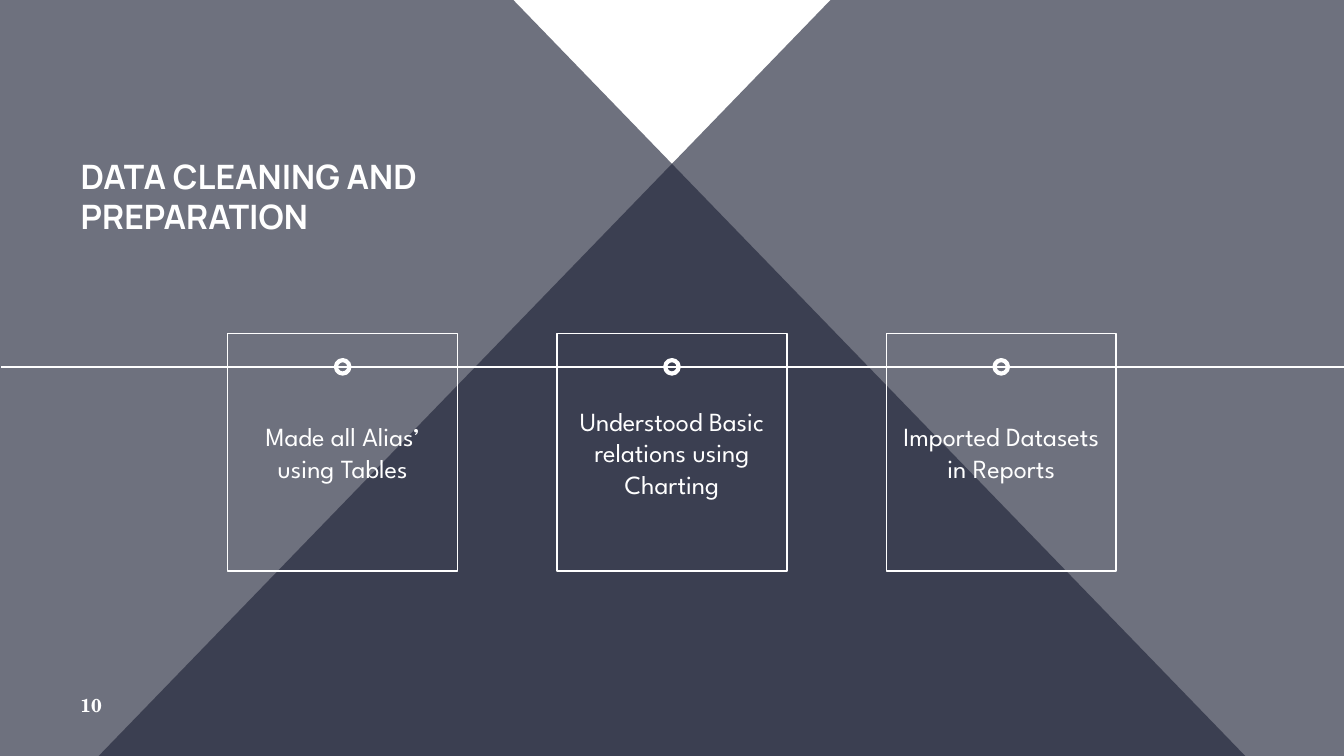
from dataclasses import dataclass

from lxml.etree import SubElement
from pptx import Presentation
from pptx.dml.color import RGBColor
from pptx.enum.shapes import MSO_CONNECTOR, MSO_SHAPE
from pptx.enum.text import MSO_ANCHOR, MSO_AUTO_SIZE, PP_ALIGN
from pptx.oxml.ns import qn
from pptx.util import Inches, Pt

WHITE = RGBColor(0xFF, 0xFF, 0xFF)
NAVY = RGBColor(0x21, 0x25, 0x39)

SLIDE_WIDTH = 10
SLIDE_HEIGHT = SLIDE_WIDTH * 9 / 16
CENTER_X = SLIDE_WIDTH / 2
TIMELINE_Y = 2.73
STEP_GAP = 2.45
CARD_TOP, CARD_WIDTH, CARD_HEIGHT = 2.48, 1.71, 1.77
MARKER_SIZE = 0.1


@dataclass(frozen=True)
class Step:
    caption: str
    center_x: float


CAPTIONS = (
    "Made all Alias’ using Tables",
    "Understood Basic relations using Charting",
    "Imported Datasets in Reports",
)
STEPS = [
    Step(caption, CENTER_X + (index - 1) * STEP_GAP)
    for index, caption in enumerate(CAPTIONS)
]


def write_text(shape, text: str, *, font: str, size: float, bold: bool = False,
               align=PP_ALIGN.LEFT, anchor=MSO_ANCHOR.MIDDLE) -> None:
    frame = shape.text_frame
    frame.word_wrap = True
    frame.auto_size = MSO_AUTO_SIZE.NONE
    frame.vertical_anchor = anchor
    frame.margin_left = frame.margin_right = Inches(0.1)
    frame.margin_top = frame.margin_bottom = Inches(0.1)
    paragraph = frame.paragraphs[0]
    paragraph.alignment = align
    run = paragraph.add_run()
    run.text = text
    run.font.name = font
    run.font.size = Pt(size)
    run.font.bold = bold
    run.font.color.rgb = WHITE


def draw_panel(slide, points: list[tuple[float, float]]) -> None:
    corners = [(Inches(x), Inches(y)) for x, y in points]
    builder = slide.shapes.build_freeform(*corners[0])
    builder.add_line_segments(corners[1:], close=True)
    panel = builder.convert_to_shape()
    panel.shadow.inherit = False
    panel.line.fill.background()
    panel.fill.solid()
    panel.fill.fore_color.rgb = NAVY
    color = panel.fill._xPr.find(qn("a:solidFill"))[0]
    SubElement(color, qn("a:alpha"), val="65000")


def draw_outline(slide, preset, left: float, top: float, width: float,
                 height: float, line_width: float):
    outline = slide.shapes.add_shape(
        preset, Inches(left), Inches(top), Inches(width), Inches(height))
    outline.shadow.inherit = False
    outline.fill.background()
    outline.line.color.rgb = WHITE
    outline.line.width = Pt(line_width)
    return outline


def draw_timeline(slide) -> None:
    timeline = slide.shapes.add_connector(
        MSO_CONNECTOR.STRAIGHT, Inches(SLIDE_WIDTH), Inches(TIMELINE_Y),
        Inches(0.01), Inches(TIMELINE_Y))
    timeline.line.color.rgb = WHITE
    timeline.line.width = Pt(0.75)
    SubElement(timeline._element.spPr, qn("a:effectLst"))


def draw_marker(slide, step: Step) -> None:
    draw_outline(slide, MSO_SHAPE.OVAL, step.center_x - MARKER_SIZE / 2,
                 TIMELINE_Y - MARKER_SIZE / 2, MARKER_SIZE, MARKER_SIZE, 2.25)


def draw_card(slide, step: Step) -> None:
    card = draw_outline(slide, MSO_SHAPE.RECTANGLE, step.center_x - CARD_WIDTH / 2,
                        CARD_TOP, CARD_WIDTH, CARD_HEIGHT, 0.75)
    write_text(card, step.caption, font="League Spartan", size=14,
               align=PP_ALIGN.CENTER)


def main() -> None:
    deck = Presentation()
    deck.slide_width, deck.slide_height = Inches(SLIDE_WIDTH), Inches(SLIDE_HEIGHT)
    slide = deck.slides.add_slide(deck.slide_layouts[5])
    slide.background.fill.solid()
    slide.background.fill.fore_color.rgb = WHITE

    right_panel = [(6.19, -0.01), (10, 0), (10, 5.63), (0.73, 5.63)]
    draw_panel(slide, right_panel)
    draw_panel(slide, [(SLIDE_WIDTH - x, y) for x, y in right_panel])

    heading = slide.shapes.title
    heading.left, heading.top = Inches(0.5), Inches(1.08)
    heading.width, heading.height = Inches(2.81), Inches(0.78)
    write_text(heading, "DATA CLEANING AND PREPARATION", font="Manrope", size=18,
               bold=True, anchor=MSO_ANCHOR.BOTTOM)
    slide.shapes._spTree.append(heading._element)

    page_number = slide.shapes.add_textbox(
        Inches(0.5), Inches(5.11), Inches(0.6), Inches(0.27))
    write_text(page_number, "10", font="TeX Gyre Schola", size=10, bold=True)

    draw_timeline(slide)
    for step in STEPS:
        draw_marker(slide, step)
    for step in STEPS:
        draw_card(slide, step)

    deck.save("out.pptx")


if __name__ == "__main__":
    main()
